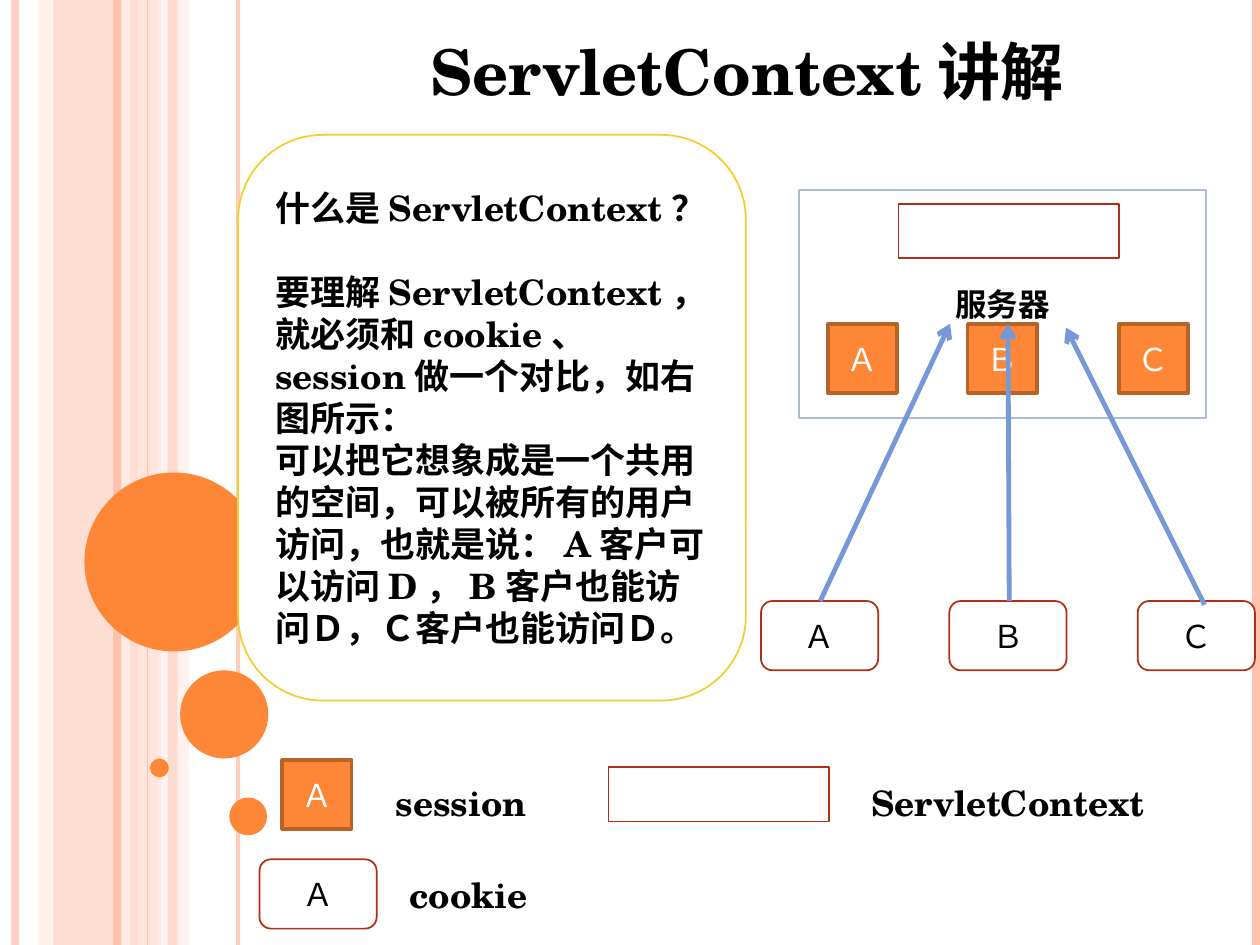
import itertools
import pptx
import pptx.util
import pptx.dml.color
import pptx.enum.shapes
import pptx.enum.text
import pptx.oxml
import pptx.oxml.ns
import lxml.etree

KIND = pptx.enum.shapes.MSO_SHAPE
ALIGN = pptx.enum.text.PP_ALIGN
ANCHOR = pptx.enum.text.MSO_ANCHOR
LATIN, CJK = "TeX Gyre Schola", "Noto Sans CJK SC"
WHITE, BLACK, ORANGE, BROWN, RED = "FFFFFF", "000000", "FE8637", "B96228", "B32C16"
PINK, PEACH, PALE = "FEC2AD", "FFD9CD", "FFEDE7"
COLS, ROWS = 100, 75


def tag(parent, name, **attrs):
    node = lxml.etree.SubElement(parent, pptx.oxml.ns.qn(name))
    for key, value in attrs.items():
        node.set(key, str(value))
    return node


def paint(format, hex, alpha=100):
    """Colour a solid fill; alpha is the opacity in percent."""
    format.solid()
    format.fore_color.rgb = pptx.dml.color.RGBColor.from_string(hex)
    if alpha < 100:
        color = format._xPr.find(".//" + pptx.oxml.ns.qn("a:srgbClr"))
        tag(color, "a:alpha", val=alpha * 1000)


def write(frame, text, size=18, color=BLACK, bold=False, align=ALIGN.CENTER,
          anchor=ANCHOR.MIDDLE, gaps=()):
    """Fill a frame; ASCII goes in the Latin font and the rest in the CJK one.

    gaps maps paragraphs, in order, to their space before in points.
    """
    frame.word_wrap = True
    frame.vertical_anchor = anchor
    for i, (line, gap) in enumerate(
            itertools.zip_longest(text.split("\n"), gaps, fillvalue=0)):
        para = frame.add_paragraph() if i else frame.paragraphs[0]
        para.alignment = align
        if gap:
            para.space_before = pptx.util.Pt(gap)
        for ascii, chars in itertools.groupby(line, str.isascii):
            run = para.add_run()
            run.text = "".join(chars)
            font = run.font
            font.size, font.bold = pptx.util.Pt(size), bold
            font.name = LATIN if ascii else CJK
            paint(font.fill, color)
            tag(font._element, "a:ea", typeface=font.name)


class Board:
    """Style and current slide; places are columns and rows of the grid."""

    def __init__(self, deck):
        self.wide, self.high = deck.slide_width, deck.slide_height
        self.slide = deck.slides.add_slide(deck.slide_layouts[6])
        self.shapes = self.slide.shapes

    def x(self, col):
        return round(self.wide * col / COLS)

    def y(self, row):
        return round(self.high * row / ROWS)

    def place(self, col, row, wide, high):
        return self.x(col), self.y(row), self.x(wide), self.y(high)

    def shape(self, kind, area, fill, line=None, width=1, alpha=100):
        item = self.shapes.add_shape(kind, *self.place(*area))
        item.shadow.inherit = False
        paint(item.fill, fill, alpha)
        if line:
            paint(item.line.fill, line)
            item.line.width = pptx.util.Pt(width)
        else:
            item.line.fill.background()
        return item

    def line(self, start, end, color, width, alpha=100, arrow=False):
        item = self.shapes.add_connector(
            pptx.enum.shapes.MSO_CONNECTOR.STRAIGHT,
            self.x(start[0]), self.y(start[1]), self.x(end[0]), self.y(end[1]))
        paint(item.line.fill, color, alpha)
        item.line.width = pptx.util.Pt(width)
        if arrow:
            tag(item.line._ln, "a:tailEnd", type="arrow")
        tag(item._element.spPr, "a:effectLst")

    def label(self, area, text, size=20):
        box = self.shapes.add_textbox(*self.place(*area))
        write(box.text_frame, text, size=size, bold=True, anchor=ANCHOR.TOP)

    def session(self, col, row, name):
        box = self.shape(KIND.RECTANGLE, (col, row, 5.5, 5.5), ORANGE, BROWN, 2)
        write(box.text_frame, name, color=WHITE)

    def cookie(self, col, row, name):
        box = self.shape(KIND.ROUNDED_RECTANGLE, (col, row, 9.3, 5.5), WHITE, RED)
        write(box.text_frame, name)

    def context(self, col, row):
        self.shape(KIND.RECTANGLE, (col, row, 17.5, 4.3), WHITE, RED)

    def stripes(self):
        bands = [(4.2, 6.7, PINK, 54), (3, 1.1, PEACH, 36), (10.8, 2, PEACH, 69),
                 (12.5, 2.5, PALE, 70), (13.3, 0.8, PINK, 50)]
        for col, wide, color, alpha in bands:
            self.shape(KIND.RECTANGLE, (col, 0, wide, ROWS), color, alpha=alpha)
        rules = [(1.2, PINK, 4.5, 72), (10, PALE, 4.5, 83), (9.3, PINK, 4.5, 100),
                 (18.9, PINK, 2.25, 81), (11.7, PINK, 0.75, 100),
                 (99.7, PINK, 4.5, 100)]
        for col, color, width, alpha in rules:
            self.line((col, 0), (col, ROWS), color, width, alpha)

    def dots(self):
        for col, row, size in [(6.7, 37.5, 14.2), (14.3, 53.2, 7),
                               (11.9, 60.2, 1.5), (18.2, 63.3, 3)]:
            self.shape(KIND.OVAL, (col, row, size, size), ORANGE)


def main():
    deck = pptx.Presentation()
    deck.slide_width, deck.slide_height = pptx.util.Inches(10), pptx.util.Inches(7.5)
    board = Board(deck)
    board.stripes()
    board.dots()
    board.label((18.9, 2.1, 80.7, 7), "ServletContext讲解", size=36)

    note = board.shape(KIND.ROUNDED_RECTANGLE, (18.9, 10.7, 40.3, 44.9),
                       WHITE, "F5CD2D")
    write(note.text_frame,
          "什么是ServletContext？\n"
          "要理解ServletContext，就必须和cookie、session做一个对比，如右图所示：\n"
          "可以把它想象成是一个共用的空间，可以被所有的用户访问，也就是说："
          "A客户可以访问D，B客户也能访问Ｄ，Ｃ客户也能访问Ｄ。",
          size=20, bold=True, align=ALIGN.LEFT, gaps=(0, 24, 0))

    server = board.shape(KIND.RECTANGLE, (63.4, 15.1, 32.3, 18.1), WHITE, "AEBAD5")
    write(server.text_frame, "服务器", bold=True)
    for name, col in zip("ＡＢＣ", (65.7, 76.8, 88.8)):
        board.session(col, 25.7, name)
    board.context(71.3, 16.2)
    for i, name in enumerate("ＡＢＣ"):
        board.cookie(60.4 + 14.95 * i, 47.7, name)

    # Legend
    board.session(22.4, 60.3, "Ａ")
    board.label((29.8, 61.5, 13.6, 4.4), "session")
    board.cookie(20.6, 68.2, "Ａ")
    board.label((30.4, 68.8, 13.6, 4.4), "cookie")
    board.context(48.3, 60.9)
    board.label((65.7, 61.5, 28.6, 4.4), "ServletContext")

    for start, end in [((65.1, 47.7), (75.4, 25.7)), ((80.1, 47.7), (80, 25.7)),
                       ((95.6, 48), (84.6, 26))]:
        board.line(start, end, "7598D9", 2.75, arrow=True)
    deck.save("out.pptx")


if __name__ == "__main__":
    main()
